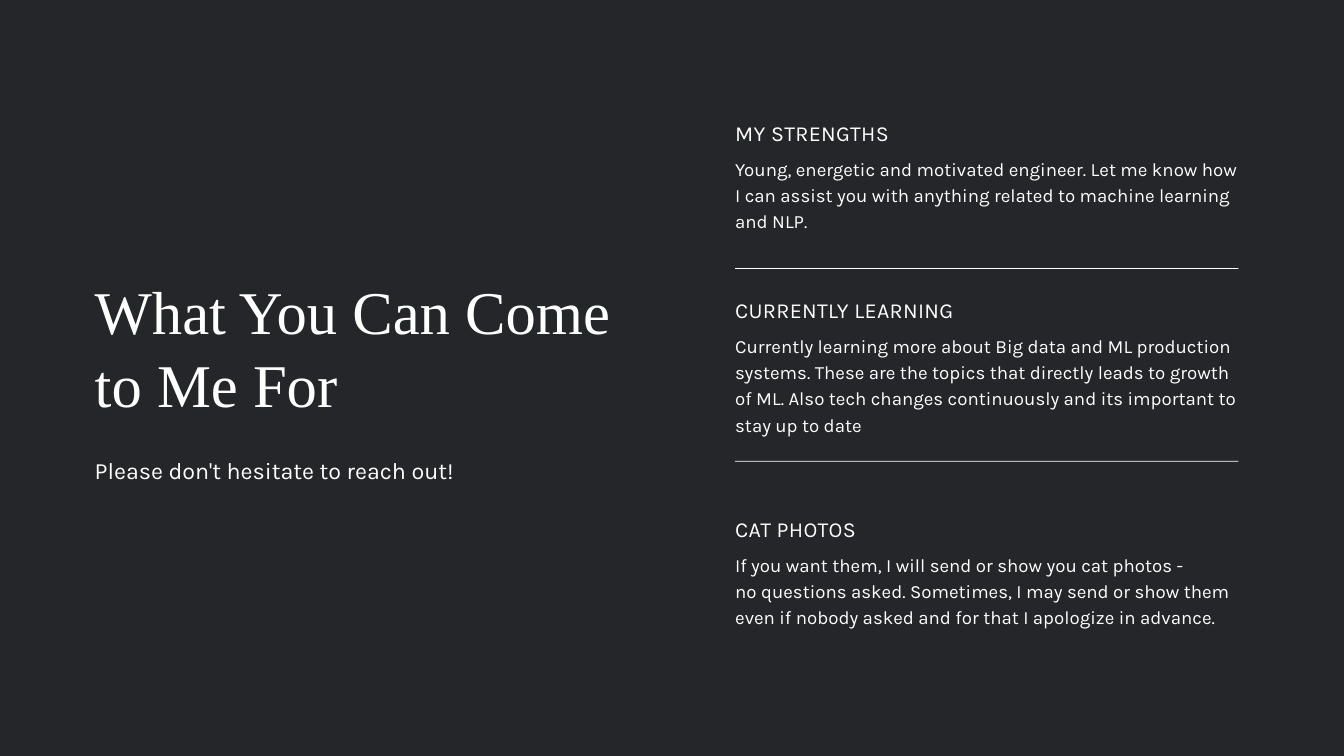
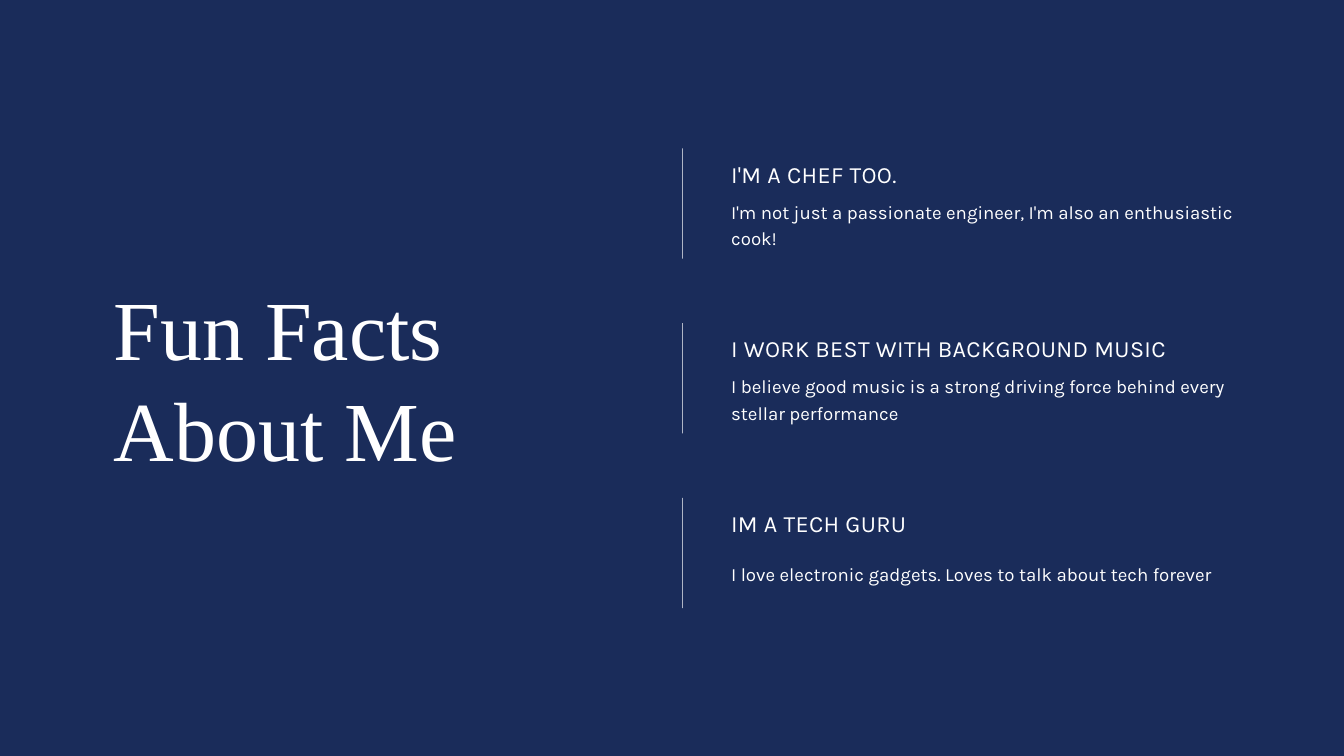
from dataclasses import dataclass

from pptx import Presentation
from pptx.dml.color import RGBColor
from pptx.enum.shapes import MSO_SHAPE
from pptx.enum.text import MSO_ANCHOR, MSO_AUTO_SIZE, PP_ALIGN
from pptx.presentation import Presentation as Deck
from pptx.slide import Slide
from pptx.text.text import TextFrame
from pptx.util import Emu, Pt

PX = 9144  # 100 px to the inch
SLIDE_WIDTH, SLIDE_HEIGHT = 2000, 1125
TITLE_ONLY = 5

CHARCOAL = RGBColor(0x25, 0x26, 0x29)
NAVY = RGBColor(0x1A, 0x2C, 0x5A)
WHITE = RGBColor(0xFF, 0xFF, 0xFF)
SERIF = "Times New Roman"
SANS = "Karla"


@dataclass(frozen=True)
class Box:
    left: int
    top: int
    width: int
    height: int

    def emu(self) -> tuple[Emu, Emu, Emu, Emu]:
        return (Emu(self.left * PX), Emu(self.top * PX),
                Emu(self.width * PX), Emu(self.height * PX))


@dataclass(frozen=True)
class TextStyle:
    font: str
    size: int
    leading: float
    tracking: int = 0  # hundredths of a point


@dataclass(frozen=True)
class Topic:
    heading: str
    body: tuple[str, ...]
    top: int
    body_offset: int
    body_height: int


@dataclass(frozen=True)
class TopicColumn:
    left: int
    width: int
    heading_height: int
    heading_style: TextStyle


LARGE_TITLE = TextStyle(SERIF, 90, 108)
TITLE = TextStyle(SERIF, 65, 78)
SUBTITLE = TextStyle(SANS, 25, 35)
BODY = TextStyle(SANS, 20, 28)

HELP_COLUMN = TopicColumn(1094, 749, 42, TextStyle(SANS, 23, 32.2, 30))
HELP_TOPICS = (
    Topic("MY STRENGTHS",
          ("Young, energetic and motivated engineer. Let me know how I can assist "
           "you with anything related to machine learning and NLP.",),
          172, 57, 115),
    Topic("CURRENTLY LEARNING",
          ("Currently learning more about Big data and ML production systems. "
           "These are the topics that directly leads to growth of ML. Also tech "
           "changes continuously and its important to stay up to date",),
          436, 57, 153),
    Topic("CAT PHOTOS",
          ("If you want them, I will send or show you cat photos -",
           "no questions asked. Sometimes, I may send or show them even if nobody "
           "asked and for that I apologize in advance."),
          761, 57, 115),
)
DIVIDER_TOPS = (399, 686)

FACT_COLUMN = TopicColumn(1088, 758, 46, TextStyle(SANS, 25, 35, 40))
FACT_TOP, FACT_PITCH = 231, 260
FACT_TOPICS = (
    Topic("I'M A CHEF TOO.",
          ("I'm not just a passionate engineer, I'm also an enthusiastic cook!",),
          FACT_TOP, 62, 76),
    Topic("I WORK BEST WITH BACKGROUND MUSIC",
          ("I believe good music is a strong driving force behind every stellar "
           "performance",),
          FACT_TOP + FACT_PITCH, 62, 76),
    Topic("IM A TECH GURU",
          ("I love electronic gadgets. Loves to talk about tech forever",),
          FACT_TOP + 2 * FACT_PITCH, 81, 38),
)
FACT_BAR_LEFT, FACT_BAR_HEIGHT, FACT_BAR_RISE = 1015, 164, 10


def write(frame: TextFrame, lines: tuple[str, ...], style: TextStyle) -> None:
    frame.margin_left = frame.margin_right = 0
    frame.margin_top = frame.margin_bottom = 0
    frame.word_wrap = True
    frame.auto_size = MSO_AUTO_SIZE.SHAPE_TO_FIT_TEXT
    frame.vertical_anchor = MSO_ANCHOR.TOP
    frame.text = "\n".join(lines)
    for paragraph in frame.paragraphs:
        paragraph.alignment = PP_ALIGN.LEFT
        paragraph.line_spacing = Pt(style.leading)
        paragraph.font.name = style.font
        paragraph.font.size = Pt(style.size)
        paragraph.font.color.rgb = WHITE
        if style.tracking:
            for run in paragraph.runs:
                run._r.get_or_add_rPr().set("spc", str(style.tracking))


def add_text(slide: Slide, box: Box, lines: tuple[str, ...], style: TextStyle) -> None:
    write(slide.shapes.add_textbox(*box.emu()).text_frame, lines, style)


def add_rule(slide: Slide, box: Box) -> None:
    rule = slide.shapes.add_shape(MSO_SHAPE.RECTANGLE, *box.emu())
    rule.shadow.inherit = False
    rule.fill.solid()
    rule.fill.fore_color.rgb = WHITE
    rule.line.fill.background()


def add_topic(slide: Slide, topic: Topic, column: TopicColumn) -> None:
    heading_box = Box(column.left, topic.top, column.width, column.heading_height)
    body_box = Box(column.left, topic.top + topic.body_offset,
                   column.width, topic.body_height)
    add_text(slide, heading_box, (topic.heading,), column.heading_style)
    add_text(slide, body_box, topic.body, BODY)


def add_titled_slide(deck: Deck, background: RGBColor, title: str,
                     box: Box, style: TextStyle) -> Slide:
    slide = deck.slides.add_slide(deck.slide_layouts[TITLE_ONLY])
    slide.background.fill.solid()
    slide.background.fill.fore_color.rgb = background
    heading = slide.shapes.title
    heading.left, heading.top, heading.width, heading.height = box.emu()
    write(heading.text_frame, (title,), style)
    return slide


def add_help_slide(deck: Deck) -> None:
    slide = add_titled_slide(deck, CHARCOAL, "What You Can Come to Me For",
                             Box(141, 408, 780, 217), TITLE)
    add_text(slide, Box(141, 672, 780, 46),
             ("Please don't hesitate to reach out!",), SUBTITLE)
    for topic in HELP_TOPICS:
        add_topic(slide, topic, HELP_COLUMN)
    for top in DIVIDER_TOPS:
        add_rule(slide, Box(HELP_COLUMN.left, top, HELP_COLUMN.width, 1))


def add_facts_slide(deck: Deck) -> None:
    slide = add_titled_slide(deck, NAVY, "Fun Facts About Me",
                             Box(169, 412, 645, 300), LARGE_TITLE)
    for topic in FACT_TOPICS:
        add_rule(slide, Box(FACT_BAR_LEFT, topic.top - FACT_BAR_RISE,
                            1, FACT_BAR_HEIGHT))
        add_topic(slide, topic, FACT_COLUMN)


def main() -> None:
    deck = Presentation()
    deck.slide_width = Emu(SLIDE_WIDTH * PX)
    deck.slide_height = Emu(SLIDE_HEIGHT * PX)
    add_help_slide(deck)
    add_facts_slide(deck)
    deck.save("out.pptx")


if __name__ == "__main__":
    main()
